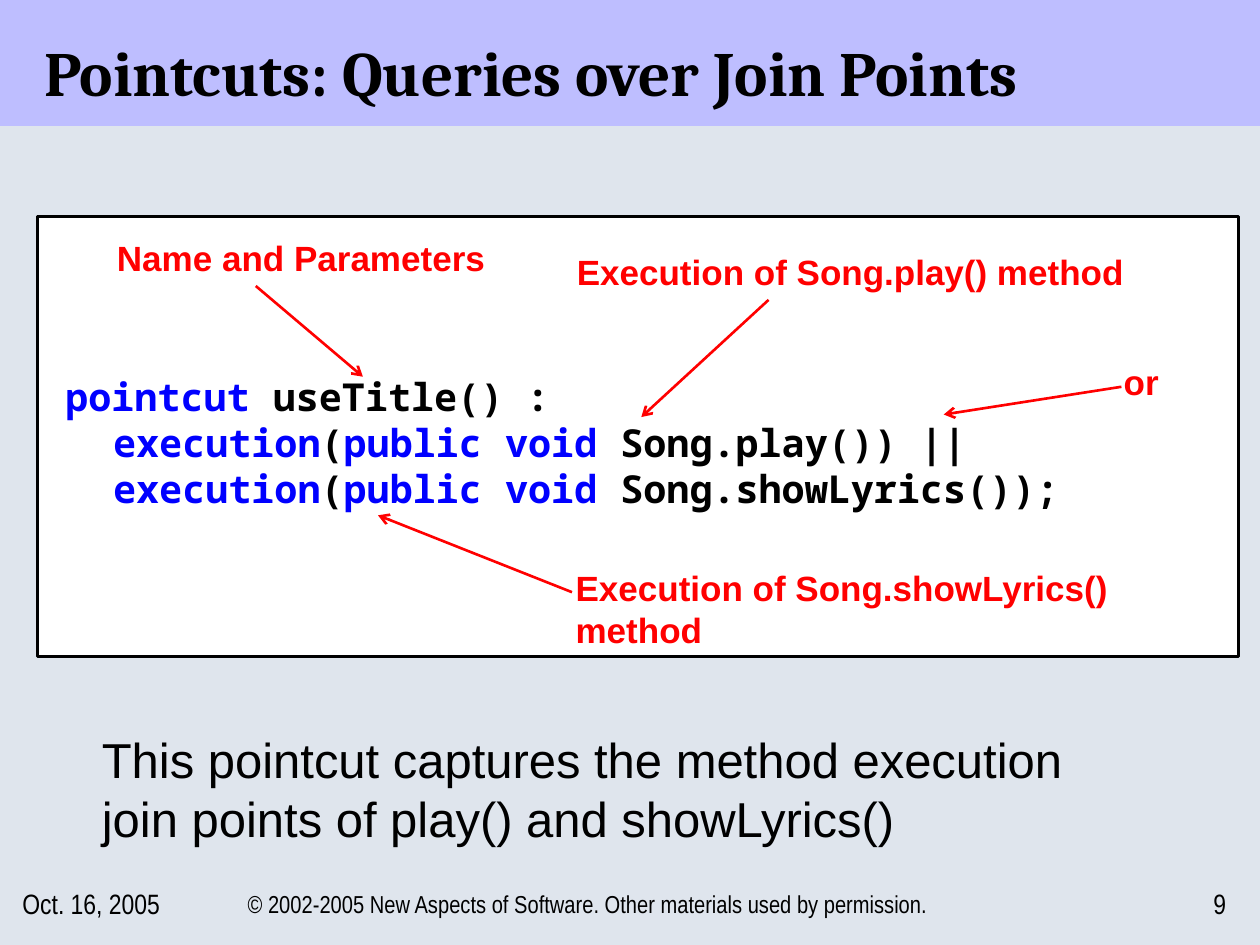
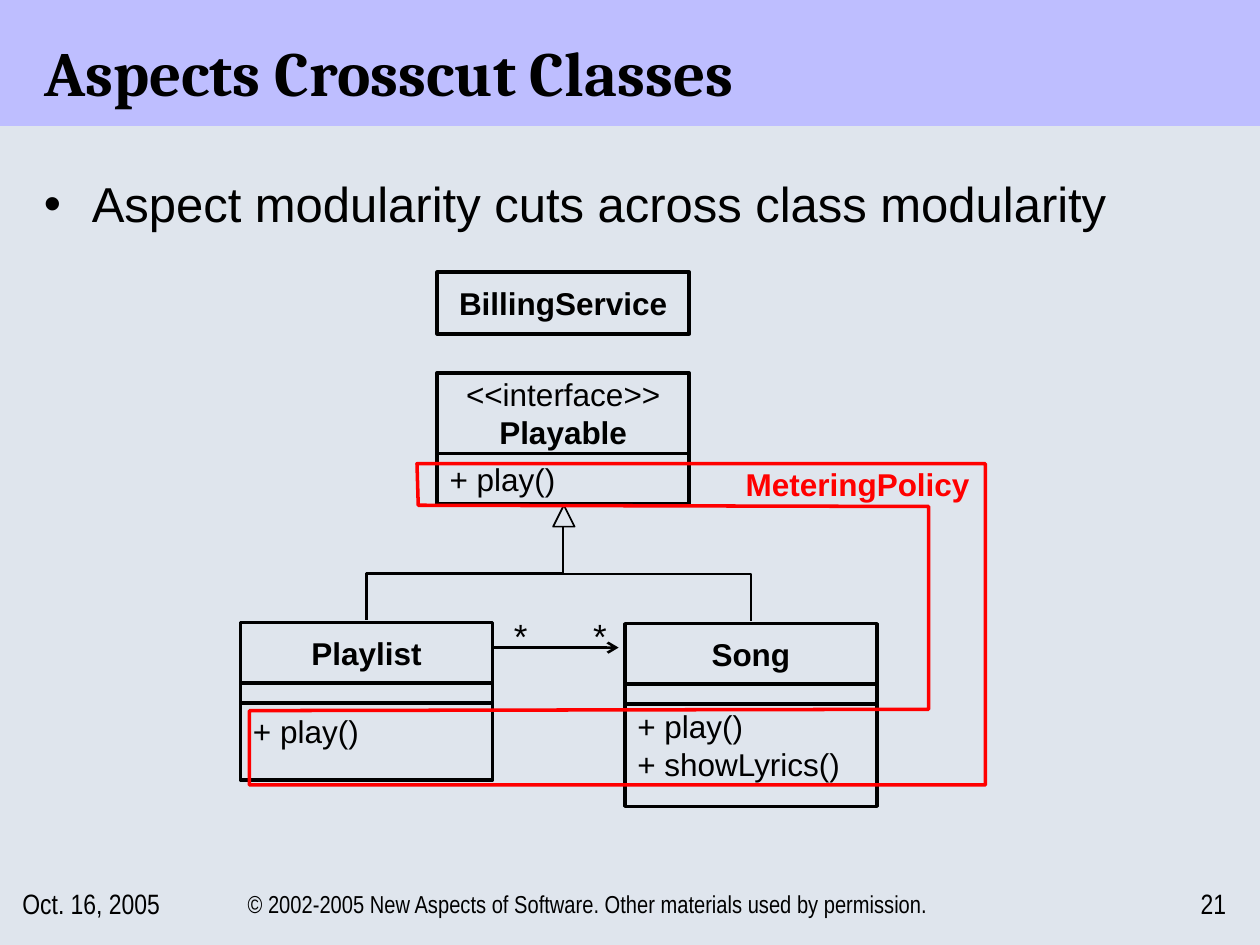
from lxml.etree import SubElement
from pptx import Presentation
from pptx.dml.color import RGBColor
from pptx.enum.shapes import MSO_CONNECTOR, MSO_SHAPE
from pptx.enum.text import MSO_ANCHOR, MSO_AUTO_SIZE, PP_ALIGN
from pptx.oxml.ns import qn
from pptx.util import Inches, Pt

COLORS = {
    "page": "DFE5ED",
    "band": "BEBEFF",
    "ink": "000000",
    "paper": "FFFFFF",
    "keyword": "0000FF",
    "accent": "FF0000",
}
TITLE = {"name": "Cambria", "size": Pt(36), "bold": True}
BODY = {"name": "Arial", "size": Pt(28)}
CODE = {"name": "Noto Sans Mono", "size": Pt(22), "bold": True}
NOTE = {"name": "Arial", "size": Pt(20), "bold": True, "color": "accent"}
MEMBER = {"name": "Arial", "size": Pt(18)}
CLASS_NAME = {**MEMBER, "bold": True}
STAR = {"name": "Arial", "size": Pt(20)}
FOOTER = {"name": "Arial Narrow", "size": Pt(16)}
COPYRIGHT = "© 2002-2005 New Aspects of Software. Other materials used by permission."


def rgb(color):
    """Return the named colour."""
    return RGBColor.from_string(COLORS[color])


def within(box, left, top, width, height):
    """Return a box placed relative to the corner of another box."""
    return box[0] + left, box[1] + top, width, height


def write(frame, lines, style, align=PP_ALIGN.LEFT, anchor=MSO_ANCHOR.TOP):
    """Fill a text frame with lines made of (text, style changes) spans."""
    layout = {"word_wrap": True, "auto_size": MSO_AUTO_SIZE.NONE, "vertical_anchor": anchor}
    for key, value in layout.items():
        setattr(frame, key, value)
    for index, spans in enumerate(lines):
        para = frame.add_paragraph() if index else frame.paragraphs[0]
        para.alignment = align
        for text, changes in spans:
            span = para.add_run()
            span.text = text
            values = {"color": "ink", **style, **changes}
            span.font.color.rgb = rgb(values.pop("color"))
            for key, value in values.items():
                setattr(span.font, key, value)


def add_text(page, box, text, style, **placing):
    """Add a text box with a single line of text."""
    label = page.shapes.add_textbox(*map(Inches, box))
    write(label.text_frame, [[(text, {})]], style, **placing)
    return label


def paint(shape, fill=None, line=None, weight=2):
    """Set the fill and outline of a shape and drop its shadow."""
    shape.shadow.inherit = False
    if fill:
        shape.fill.solid()
        shape.fill.fore_color.rgb = rgb(fill)
    else:
        shape.fill.background()
    if line:
        shape.line.color.rgb = rgb(line)
        shape.line.width = Pt(weight)
    else:
        shape.line.fill.background()


def add_box(page, box, kind=MSO_SHAPE.RECTANGLE, **look):
    """Add a painted preset shape."""
    shape = page.shapes.add_shape(kind, *map(Inches, box))
    paint(shape, **look)
    return shape


def add_line(page, ends, color, kind=MSO_CONNECTOR.STRAIGHT):
    """Add a connector without a shadow."""
    line = page.shapes.add_connector(kind, *map(Inches, ends))
    line.line.color.rgb = rgb(color)
    line.line.width = Pt(1.5)
    SubElement(line._element.spPr, qn("a:effectLst"))
    return line


def add_arrow(page, box, start, end, color):
    """Add an open-headed arrow between two points of a box."""
    left, top = box[:2]
    ends = left + start[0], top + start[1], left + end[0], top + end[1]
    arrow = add_line(page, ends, color)
    SubElement(arrow.line._get_or_add_ln(), qn("a:tailEnd"), type="arrow")


def add_rising_elbow(page, box, start, end):
    """Add a connector that rises, crosses and rises again."""
    center_x = box[0] + (start[0] + end[0]) / 2
    center_y = box[1] + (start[1] + end[1]) / 2
    run, rise = (end[0] - start[0]) / 2, (start[1] - end[1]) / 2
    ends = center_x - rise, center_y - run, center_x + rise, center_y + run
    elbow = add_line(page, ends, "ink", MSO_CONNECTOR.ELBOW)
    elbow._element.spPr.find(qn("a:xfrm")).set("rot", str(270 * 60000))


def add_footer(page, box, number):
    """Add the date, copyright line and page number."""
    parts = [
        (0, 1.67, "Oct. 16, 2005", FOOTER, PP_ALIGN.LEFT),
        (1.67, 5.83, COPYRIGHT, {**FOOTER, "size": Pt(14)}, PP_ALIGN.CENTER),
        (9.17, 0.58, number, FOOTER, PP_ALIGN.RIGHT),
    ]
    for left, width, text, style, align in parts:
        place = within(box, left, 0, width, box[3])
        add_text(page, place, text, style, align=align, anchor=MSO_ANCHOR.MIDDLE)


def add_page(deck, title, number):
    """Add a slide with its title band and footer."""
    page = deck.slides.add_slide(deck.slide_layouts[5])
    page.background.fill.solid()
    page.background.fill.fore_color.rgb = rgb("page")
    band = add_box(page, (0, 0, 10, 1), fill="band")
    page.shapes._spTree.insert(2, band._element)
    heading = page.shapes.title
    place = {"left": 0.25, "top": 0.17, "width": 9.58, "height": 0.75}
    for key, value in place.items():
        setattr(heading, key, Inches(value))
    write(heading.text_frame, [[(title, {})]], TITLE, anchor=MSO_ANCHOR.BOTTOM)
    add_footer(page, (0.08, 6.92, 9.75, 0.5), number)
    return page


def add_code(page, box):
    """Add the pointcut declaration with its keywords coloured."""
    keyword = {"color": "keyword"}
    lines = [[("pointcut", keyword), (" useTitle() :", {})]]
    for call in (" Song.play()) ||", " Song.showLyrics());"):
        lines.append([
            ("\t", {}), ("execution", keyword), ("(", {}),
            ("public void", keyword), (call, {}),
        ])
    code = add_box(page, box, fill="paper")
    write(code.text_frame, lines, CODE)
    for para in code.text_frame.paragraphs:
        tabs = SubElement(para._p.get_or_add_pPr(), qn("a:tabLst"))
        SubElement(tabs, qn("a:tab"), pos=str(Inches(0.38)), algn="l")


def add_pointcut_panel(page, box):
    """Add the annotated code panel."""
    add_box(page, box, fill="paper", line="ink", weight=1.5)
    add_code(page, within(box, 0.12, 1.19, 8.9, 1.2))
    notes = [
        ("Name and Parameters", (0.53, 0.11, 3.26, 0.44), (1.73, 0.55), (2.58, 1.27)),
        ("Execution of Song.play() method", (4.18, 0.22, 5.26, 0.44), (5.8, 0.66), (4.79, 1.59)),
        ("or", (8.52, 1.09, 0.54, 0.44), (8.6, 1.35), (7.19, 1.57)),
        ("Execution of Song.showLyrics() method", (4.17, 2.73, 5.27, 0.77), (4.24, 2.98), (2.7, 2.37)),
    ]
    for text, place, start, end in notes:
        add_text(page, within(box, *place), text, NOTE)
        add_arrow(page, box, start, end, "accent")


def add_bullet(page, box, text):
    """Add a bulleted line."""
    para = add_text(page, box, text, BODY).text_frame.paragraphs[0]
    layout = para._p.get_or_add_pPr()
    for key, value in {"marL": 0.38, "indent": -0.38}.items():
        layout.set(key, str(Inches(value)))
    SubElement(layout, qn("a:buFont"), typeface="Arial")
    SubElement(layout, qn("a:buChar"), char="•")


def add_class(page, box, heading, members=(), members_height=0, attributes=False):
    """Add a class box with optional attribute and member compartments."""
    left, top, width, height = box
    middle = MSO_ANCHOR.MIDDLE
    name = add_box(page, box, line="ink")
    write(name.text_frame, [heading], CLASS_NAME, PP_ALIGN.CENTER, middle) if len(heading) == 1 else write(
        name.text_frame, [[span] for span in heading], CLASS_NAME, PP_ALIGN.CENTER, middle)
    if members:
        body = add_box(page, (left, top + height, width, members_height), line="ink")
        write(body.text_frame, [[(member, {})] for member in members], MEMBER, anchor=middle)
    if attributes:
        add_box(page, (left, top + height, width, 0.16), line="ink")


def add_aspect_outline(page, box):
    """Add the outline of the aspect that cuts across the classes."""
    corners = [
        (1.4, 1.52), (5.91, 1.52), (5.91, 4.07), (0.07, 4.07), (0.07, 3.48),
        (5.12, 3.47), (5.46, 3.47), (5.46, 1.86), (1.41, 1.85),
    ]
    points = [(Inches(box[0] + x), Inches(box[1] + y)) for x, y in corners]
    builder = page.shapes.build_freeform(*points[0])
    builder.add_line_segments(points[1:], close=True)
    paint(builder.convert_to_shape(), line="accent")


def add_class_diagram(page, box):
    """Add the class diagram and the aspect across it."""
    add_text(page, within(box, 3.91, 1.48, 2.27, 0.4), "MeteringPolicy", {**NOTE, "size": Pt(18)})
    add_class(page, within(box, 1.56, 0, 2, 0.49), [("BillingService", {})])
    interface = [("<<interface>>", {"bold": False}), ("Playable", {})]
    add_class(page, within(box, 1.56, 0.8, 2, 0.64), interface, ["+ play()"], 0.4)
    add_class(page, within(box, 0, 2.78, 2, 0.48), [("Playlist", {})], ["+ play()"], 0.77, True)
    song_members = ["+ play()", "+ showLyrics()"]
    add_class(page, within(box, 3.05, 2.79, 2, 0.48), [("Song", {})], song_members, 0.97, True)
    add_arrow(page, box, (2, 2.98), (3, 2.98), "ink")
    for left in (2.07, 2.7):
        add_text(page, within(box, left, 2.67, 0.25, 0.44), "*", STAR, align=PP_ALIGN.CENTER)
    triangle = within(box, 2.48, 1.85, 0.17, 0.17)
    add_box(page, triangle, MSO_SHAPE.ISOSCELES_TRIANGLE, fill="page", line="ink", weight=1)
    for start in ((1, 2.76), (4.05, 2.77)):
        add_rising_elbow(page, box, start, (2.56, 2.02))
    add_aspect_outline(page, box)


def main():
    """Build and save the deck."""
    deck = Presentation()
    deck.slide_width, deck.slide_height = Inches(10), Inches(7.5)
    page = add_page(deck, "Pointcuts: Queries over Join Points", "9")
    add_pointcut_panel(page, (0.3, 1.72, 9.53, 3.49))
    summary = "This pointcut captures the method execution join points of play() and showLyrics()"
    add_text(page, (0.71, 5.74, 8.25, 1.07), summary, BODY)
    page = add_page(deck, "Aspects Crosscut Classes", "21")
    add_bullet(page, (0.25, 1.33, 9.75, 1.46), "Aspect modularity cuts across class modularity")
    add_class_diagram(page, (1.91, 2.16, 5.91, 4.24))
    deck.save("out.pptx")


if __name__ == "__main__":
    main()
